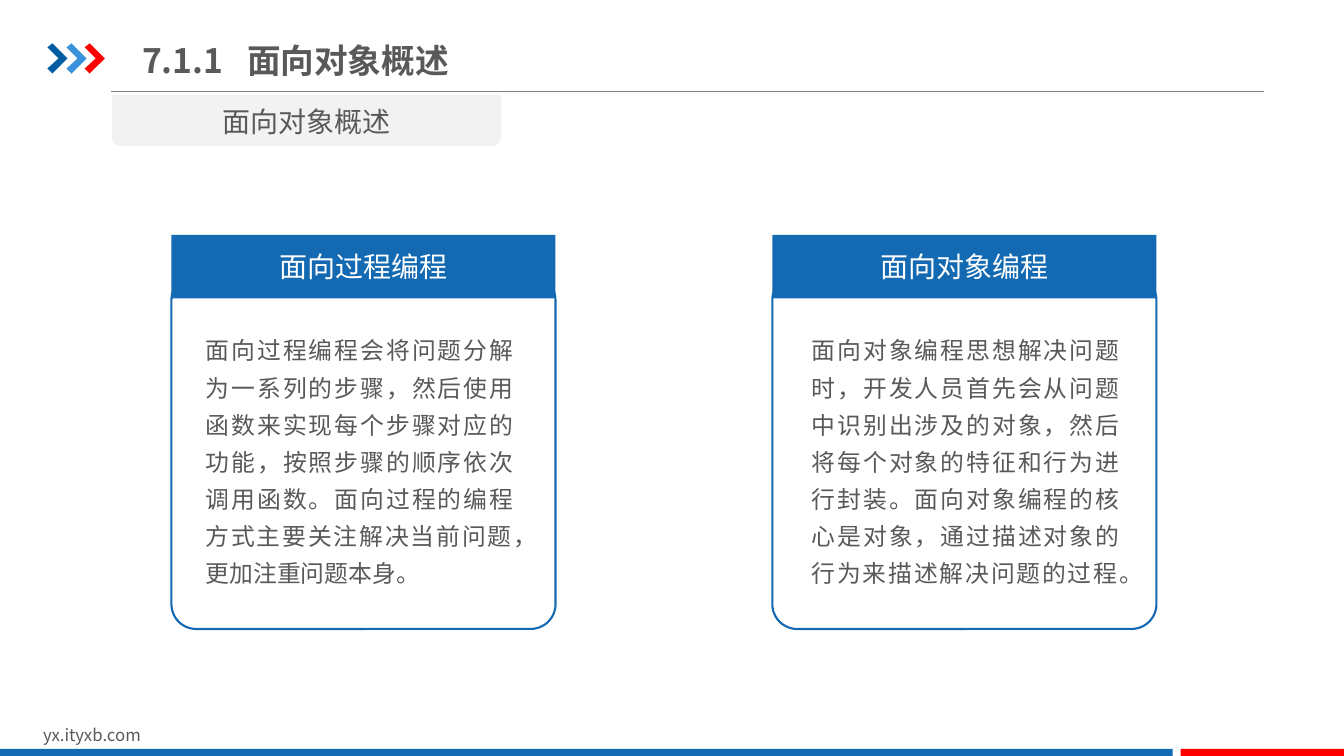
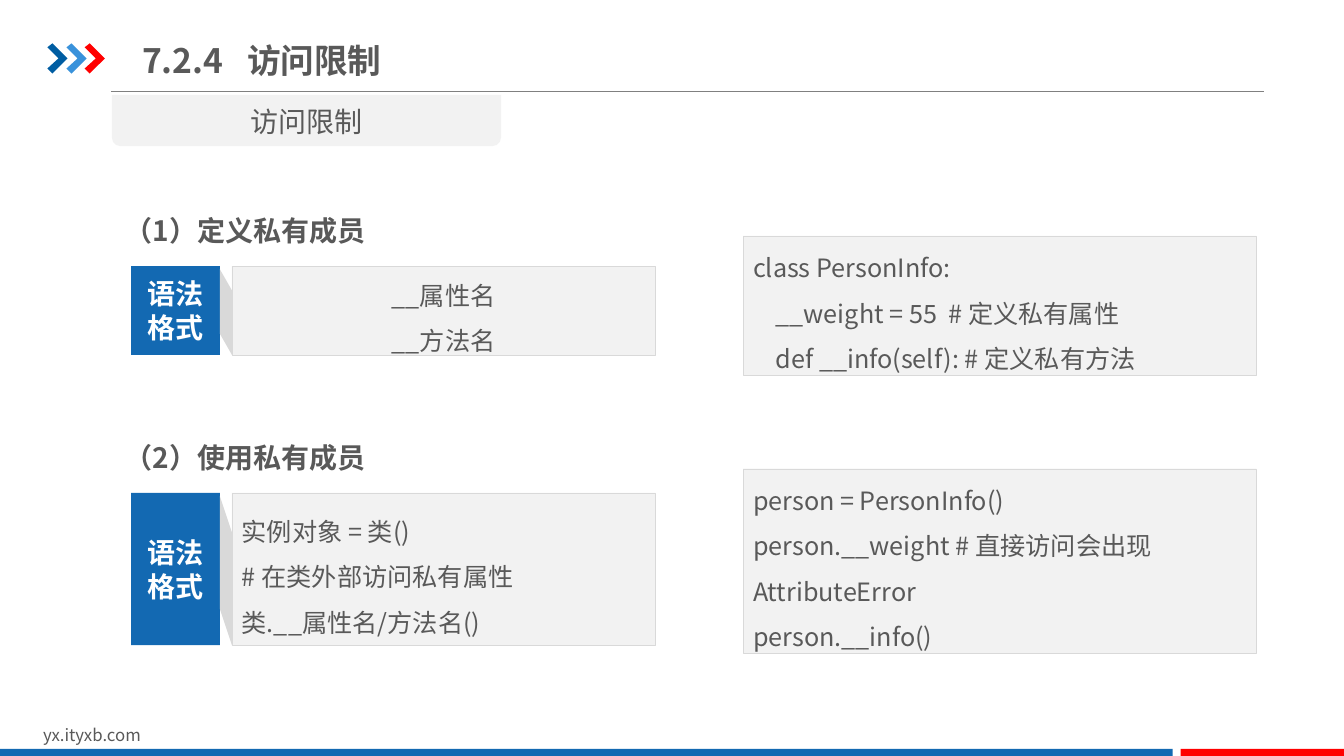
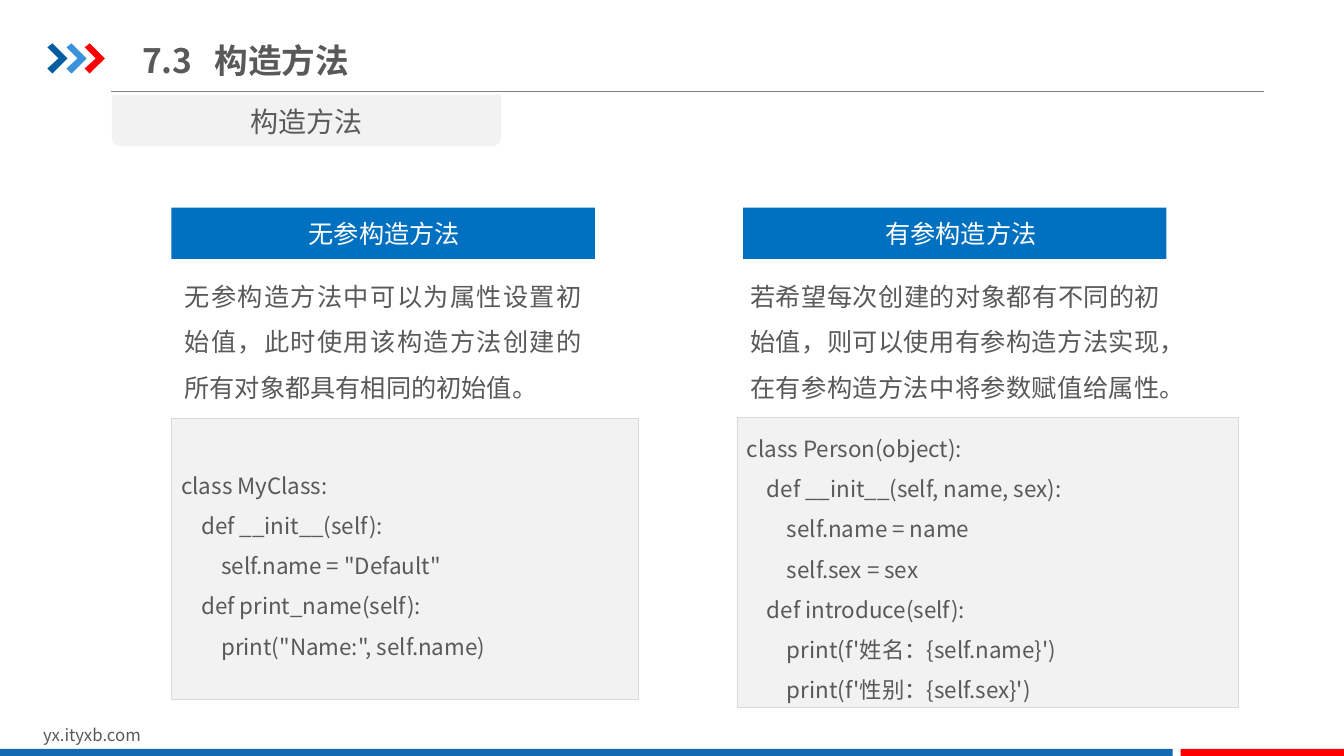
from lxml import etree
from pptx import Presentation
from pptx import util as u
from pptx.dml.color import RGBColor
from pptx.enum import lang, shapes, text
from pptx.oxml import ns

PX = 9144  # 100 px to the inch
FONT = "Noto Sans CJK SC"
GREY, WHITE, BLUE, RED = "595959", "FFFFFF", "1369B2", "FF0000"
PANEL, PANEL_EDGE, HEADER_BLUE = "F2F2F2", "D9D9D9", "0070C0"
RECT = shapes.MSO_SHAPE.RECTANGLE
ROUNDED = shapes.MSO_SHAPE.ROUNDED_RECTANGLE
BOTTOM_ROUNDED = shapes.MSO_SHAPE.ROUND_2_SAME_RECTANGLE
LEFT, CENTER, JUSTIFY = text.PP_ALIGN.LEFT, text.PP_ALIGN.CENTER, text.PP_ALIGN.JUSTIFY
TOP, MIDDLE = text.MSO_ANCHOR.TOP, text.MSO_ANCHOR.MIDDLE

CHEVRONS = [(47, "005DA2"), (66, "3992DB"), (84, RED)]
CHEVRON_OUTLINE = [(0, 47), (5, 43), (20, 58), (5, 73), (0, 68), (11, 58)]
FOOTER = "yx.ityxb.com"
FOOTER_BANDS = [((0, 743, 1163, 9), BLUE), ((1171, 743, 163, 9), RED)]

# Number, heading, and tab position of the heading in px
OVERVIEW_TITLE = ("7.1.1", "面向对象概述", 104)
ACCESS_TITLE = ("7.2.4", "访问限制", 104)
CONSTRUCTOR_TITLE = ("7.3", "构造方法", 72)

# Card left, text left, heading, body
PARADIGMS = [
    (170, 194, "面向过程编程",
     "面向过程编程会将问题分解为一系列的步骤，然后使用函数来实现每个步骤对应的功能，"
     "按照步骤的顺序依次调用函数。面向过程的编程方式主要关注解决当前问题，更加注重问题本身。"),
    (766, 795, "面向对象编程",
     "面向对象编程思想解决问题时，开发人员首先会从问题中识别出涉及的对象，"
     "然后将每个对象的特征和行为进行封装。面向对象编程的核心是对象，"
     "通过描述对象的行为来描述解决问题的过程。"),
]

PRIVATE_MEMBERS = [
    {"heading": "（1）定义私有成员", "top": 190, "syntax_height": 88, "align": CENTER,
     "syntax": ["__属性名", "__方法名"],
     "code_box": (737, 234, 509, 138),
     "code": ["class PersonInfo:",
              "    __weight = 55  # 定义私有属性",
              "    def __info(self): # 定义私有方法"]},
    {"heading": "（2）使用私有成员", "top": 415, "syntax_height": 151, "align": LEFT,
     "syntax": ["实例对象 = 类()", "# 在类外部访问私有属性", "类.__属性名/方法名()"],
     "code_box": (737, 465, 509, 183),
     "code": ["person = PersonInfo()",
              "person.__weight # 直接访问会出现AttributeError",
              "person.__info()"]},
]

CONSTRUCTORS = [
    {"heading": "无参构造方法", "left": 170, "heading_inset": 12,
     "body": "无参构造方法中可以为属性设置初始值，此时使用该构造方法创建的所有对象都具有相同的初始值。",
     "body_box": (170, 257, 420, 150), "code_box": (170, 415, 463, 279),
     "code": ["class MyClass:",
              "    def __init__(self):",
              "        self.name = \"Default\"",
              "    def print_name(self):",
              "        print(\"Name:\", self.name)"]},
    {"heading": "有参构造方法", "left": 737, "heading_inset": 22,
     "body": "若希望每次创建的对象都有不同的初始值，则可以使用有参构造方法实现，"
             "在有参构造方法中将参数赋值给属性。",
     "body_box": (731, 257, 433, 150), "code_box": (731, 414, 497, 288),
     "code": ["class Person(object):",
              "    def __init__(self, name, sex):",
              "        self.name = name",
              "        self.sex = sex",
              "    def introduce(self):",
              "        print(f'姓名：{self.name}')",
              "        print(f'性别：{self.sex}')"]},
]


def rgb(value):
    return RGBColor.from_string(value)


def emu(lengths):
    return [length * PX for length in lengths]


def write(shape, lines, size, color=GREY, bold=False, align=LEFT, anchor=TOP,
          spacing=1.0, insets=(10, 5, 10, 5), wrap=True):
    frame = shape.text_frame
    frame.word_wrap = wrap
    frame.auto_size = text.MSO_AUTO_SIZE.NONE
    frame.vertical_anchor = anchor
    (frame.margin_left, frame.margin_top,
     frame.margin_right, frame.margin_bottom) = emu(insets)
    for index, line in enumerate(lines):
        paragraph = frame.add_paragraph() if index else frame.paragraphs[0]
        paragraph.alignment = align
        paragraph.line_spacing = spacing
        run = paragraph.add_run()
        run.text = line
        font = run.font
        font.size, font.bold, font.name = u.Pt(size), bold, FONT
        font.color.rgb = rgb(color)
        font.language_id = lang.MSO_LANGUAGE_ID.SIMPLIFIED_CHINESE
        east_asian = etree.SubElement(run._r.get_or_add_rPr(), ns.qn("a:ea"))
        east_asian.set("typeface", FONT)


def paint(shape, fill=None, edge=None, width=0.25):
    shape.shadow.inherit = False
    if fill:
        shape.fill.solid()
        shape.fill.fore_color.rgb = rgb(fill)
    else:
        shape.fill.background()
    if edge:
        shape.line.color.rgb = rgb(edge)
        shape.line.width = u.Pt(width)
    else:
        shape.line.fill.background()


def add_block(slide, box, fill=None, edge=None, width=0.25, preset=RECT, adjustments=()):
    shape = slide.shapes.add_shape(preset, *emu(box))
    for index, value in enumerate(adjustments):
        shape.adjustments[index] = value
    paint(shape, fill, edge, width)
    return shape


def add_outline(slide, points, fill):
    builder = slide.shapes.build_freeform(*points[0], scale=PX)
    builder.add_line_segments(points[1:], close=True)
    paint(builder.convert_to_shape(), fill)


def add_text(slide, box, lines, size, **style):
    write(slide.shapes.add_textbox(*emu(box)), lines, size, **style)


def add_panel(slide, box, lines, size, align=LEFT):
    write(add_block(slide, box, PANEL, PANEL_EDGE), lines, size,
          align=align, anchor=MIDDLE, spacing=1.5)


def add_base(presentation, title):
    """Add a slide with the shared title, topic tab, chevrons and footer."""
    slide = presentation.slides.add_slide(presentation.slide_layouts[5])
    number, heading, tab_position = title
    placeholder = slide.shapes.title
    placeholder.left, placeholder.top, placeholder.width, placeholder.height = emu(
        (131, 29, 541, 61))
    write(placeholder, [f"{number}\t{heading}"], 24, bold=True, anchor=MIDDLE)
    properties = placeholder.text_frame.paragraphs[0]._p.get_or_add_pPr()
    tabs = etree.SubElement(properties, ns.qn("a:tabLst"))
    etree.SubElement(tabs, ns.qn("a:tab"), pos=str(tab_position * PX), algn="l")

    rule = slide.shapes.add_connector(
        shapes.MSO_CONNECTOR.STRAIGHT, *emu((110, 91, 1254, 91)))
    rule.line.color.rgb = rgb("808080")
    rule.line.width = u.Pt(0.75)
    etree.SubElement(rule._element.spPr, ns.qn("a:effectLst"))

    for left, color in CHEVRONS:
        add_outline(slide, [(left + x, y) for x, y in CHEVRON_OUTLINE], color)
    add_text(slide, (33, 714, 318, 30), [FOOTER], 12)
    for box, color in FOOTER_BANDS:
        add_block(slide, box, color)
    topic = add_block(slide, (111, 94, 386, 51), PANEL,
                      preset=BOTTOM_ROUNDED, adjustments=(0, 0.17))
    write(topic, [heading], 20, align=CENTER, anchor=MIDDLE, insets=(10, 9, 10, 4))
    return slide


def add_overview(presentation):
    slide = add_base(presentation, OVERVIEW_TITLE)
    for left, text_left, heading, body in PARADIGMS:
        add_block(slide, (left, 273, 381, 351), edge=BLUE, width=1.5,
                  preset=ROUNDED, adjustments=(0.07,))
        add_text(slide, (text_left, 320, 325, 270), [body], 17,
                 align=JUSTIFY, spacing=1.3)
        header = add_block(slide, (left, 233, 381, 63), BLUE)
        write(header, [heading], 20, WHITE, align=CENTER, anchor=MIDDLE)


def add_access(presentation):
    slide = add_base(presentation, ACCESS_TITLE)
    for member in PRIVATE_MEMBERS:
        add_text(slide, (114, member["top"], 1016, 60), [member["heading"]], 20,
                 bold=True, spacing=1.5)
        add_panel(slide, member["code_box"], member["code"], 18)

        top, height = member["top"] + 74, member["syntax_height"]
        bottom, skew = top + height, round(height * 0.24)
        add_panel(slide, (230, top, 420, height), member["syntax"], 18, member["align"])
        tag = add_block(slide, (130, top, 88, height), BLUE)
        write(tag, ["语法", "格式"], 20, WHITE, bold=True, align=CENTER,
              anchor=MIDDLE, wrap=False)
        add_outline(slide, [(230, top + 3 + skew), (230, bottom),
                            (218, bottom - skew), (218, top + 3)], PANEL_EDGE)


def add_constructors(presentation):
    slide = add_base(presentation, CONSTRUCTOR_TITLE)
    for constructor in CONSTRUCTORS:
        header = add_block(slide, (constructor["left"], 206, 420, 51), HEADER_BLUE)
        write(header, [constructor["heading"]], 18, WHITE, align=CENTER, anchor=MIDDLE,
              insets=(constructor["heading_inset"], 5, 10, 5))
        add_panel(slide, constructor["code_box"], constructor["code"], 16)
        add_text(slide, constructor["body_box"], [constructor["body"]], 18,
                 align=JUSTIFY, spacing=1.5, insets=(13, 7, 13, 7))


def main():
    presentation = Presentation()
    presentation.slide_width, presentation.slide_height = emu((1333, 750))
    add_overview(presentation)
    add_access(presentation)
    add_constructors(presentation)
    presentation.save("out.pptx")


if __name__ == "__main__":
    main()
